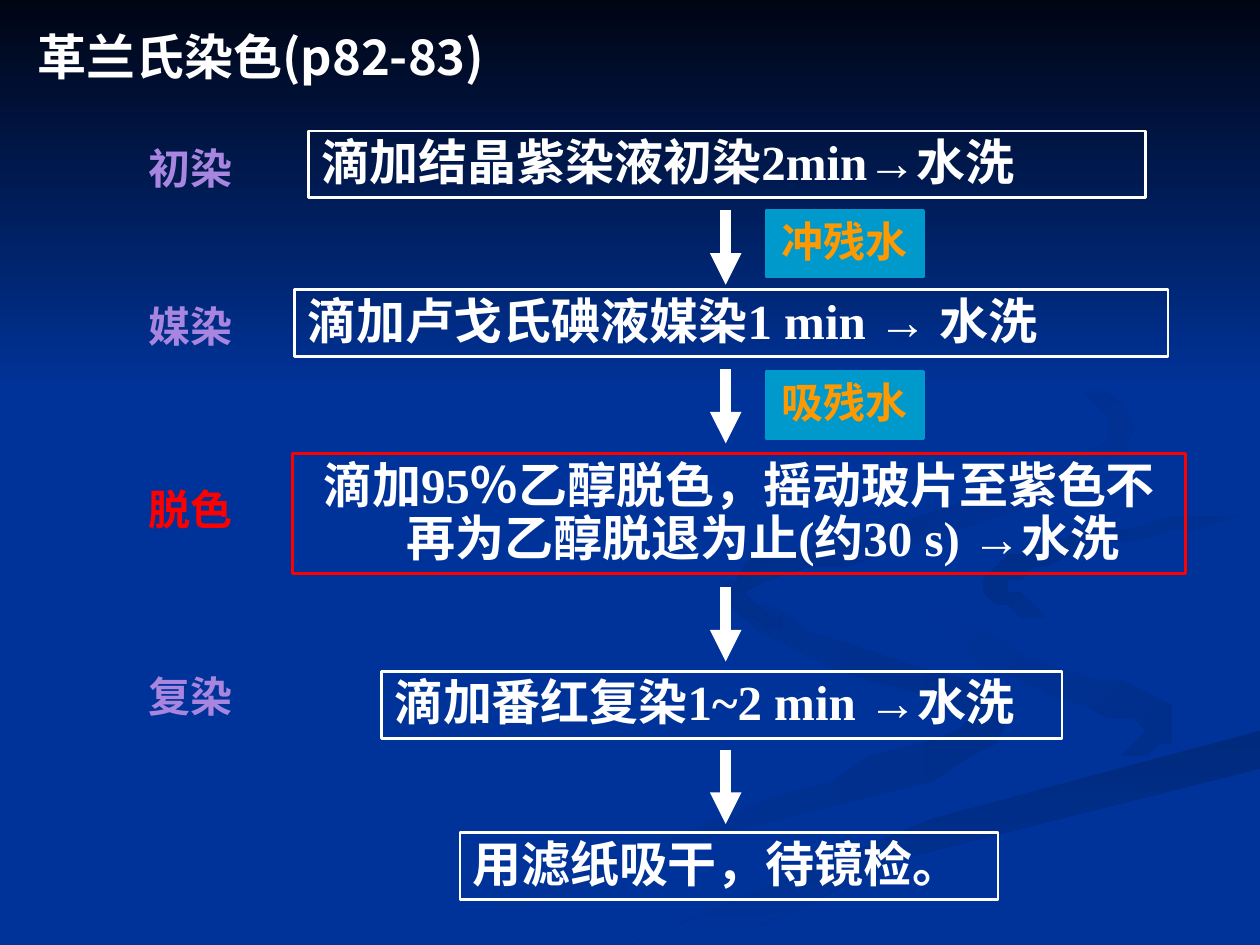
from math import hypot, pi, sin

from lxml.etree import SubElement
from pptx import Presentation
from pptx.dml.color import RGBColor
from pptx.enum.shapes import MSO_CONNECTOR as Connector, MSO_SHAPE as Shape
from pptx.enum.text import MSO_ANCHOR as Anchor, PP_ALIGN as Align
from pptx.oxml.ns import qn
from pptx.util import Inches, Pt

COLUMNS, ROWS = 100, 75
UNIT = Inches(10) // COLUMNS
SANS, SERIF = "Noto Sans CJK SC", "Times New Roman"
BLUE, WHITE, RED = "003399", "FFFFFF", "FF0000"
LILAC, TEAL, ORANGE = "A886E0", "0099CC", "FF9900"
HANG = Inches(0.38)
CURVE_STEPS = 6

RIBBONS = [
    ((BLUE, "002E8B", 0), 3, [(57, 46), (64, 51), (79, 57), (62, 64), (33, 74)]),
    ((BLUE, "002E8B", 45), 2.5, [(72, 46), (79, 52), (92, 57), (89, 60)]),
    (("002D86", BLUE, 45), 2, [(83, 49), (79, 46), (86, 43), (99, 41)]),
    (("002B82", BLUE, 45), 2, [(76, 23), (89, 34), (76, 41), (59, 46), (62, 50)]),
]
BAND = [(50, 75), (74, 65), (100, 58), (100, 61), (72, 68), (57, 75)]
SKY = [(0, 0), (0, 31), (100, 31), (100, 0)]

LABELS = [("初染", 11.3, LILAC), ("媒染", 23.8, LILAC),
          ("脱色", 38.3, RED), ("复染", 53.2, LILAC)]
LABEL_LEFT, LABEL_WIDTH, LABEL_HEIGHT = 10.8, 12, 4.6

LINE_HEIGHT = 5.3
STEPS = [
    ("滴加结晶紫染液初染2min→水洗", 24.5, 10.4, 66.4, 1),
    ("滴加卢戈氏碘液媒染1 min → 水洗", 23.4, 23, 69.3, 1),
    ("滴加95％乙醇脱色，摇动玻片至紫色不再为乙醇脱退为止(约30 s) →水洗",
     23.2, 36, 70.9, 1.8),
    ("滴加番红复染1~2 min →水洗", 30.3, 53.3, 54, 1),
    ("用滤纸吸干，待镜检。", 36.5, 66.1, 42.7, 1),
]
BADGES = [("冲残水", 16.7), ("吸残水", 29.5)]
BADGE_LEFT, BADGE_WIDTH = 60.8, 12.5
ARROW_LEFT, ARROW_LENGTH = 57.6, 5.9
ARROW_TOPS = [16.7, 29.3, 46.6, 59.5]


def color(code):
    return RGBColor.from_string(code)


def grid(*values):
    return [round(value * UNIT) for value in values]


def write(shape, text, size, font, ink, align=Align.LEFT, hang=0):
    frame = shape.text_frame
    frame.word_wrap = True
    frame.vertical_anchor = Anchor.MIDDLE
    frame.text = text
    para = frame.paragraphs[0]
    para.alignment = align
    para.line_spacing = 0.9
    if hang:
        props = para._p.get_or_add_pPr()
        props.set("marL", str(hang))
        props.set("indent", str(-hang))
    span = para.runs[0].font
    span.name, span.size, span.bold = font, Pt(size), True
    span.color.rgb = color(ink)


def add_label(page, text, box, size, ink):
    label = page.shapes.add_textbox(*grid(*box))
    write(label, text, size, SANS, ink, hang=HANG)


def add_panel(page, box, edge, fill=None):
    panel = page.shapes.add_shape(Shape.RECTANGLE, *grid(*box))
    panel.shadow.inherit = False
    panel.line.color.rgb = color(edge)
    panel.line.width = Pt(1.5)
    if fill:
        panel.fill.solid()
        panel.fill.fore_color.rgb = color(fill)
    else:
        panel.fill.background()
    return panel


def add_arrow(page, left, top, length):
    ends = grid(left, top, left, top + length)
    arrow = page.shapes.add_connector(Connector.STRAIGHT, *ends)
    arrow.line.color.rgb = color(WHITE)
    arrow.line.width = Pt(6)
    SubElement(arrow.line._get_or_add_ln(), qn("a:tailEnd"), type="triangle")
    SubElement(arrow._element.spPr, qn("a:effectLst"))


def blend(a, b, c, d, t):
    return b + t * (c - a + t * (2 * a - 5 * b + 4 * c - d + t * (3 * (b - c) + d - a))) / 2


def smooth(knots):
    padded = [knots[0], *knots, knots[-1]]
    curve = []
    for group in zip(padded, padded[1:], padded[2:], padded[3:]):
        for step in range(CURVE_STEPS):
            curve.append([blend(*axis, step / CURVE_STEPS) for axis in zip(*group)])
    return curve + [knots[-1]]


def ribbon_outline(knots, width):
    curve = smooth(knots)
    last = len(curve) - 1
    near, far = [], []
    for index, (x, y) in enumerate(curve):
        before, after = curve[max(index - 1, 0)], curve[min(index + 1, last)]
        run, rise = after[0] - before[0], after[1] - before[1]
        reach = width / 2 * sin(pi * index / last) / hypot(run, rise)
        near.append((x - rise * reach, y + run * reach))
        far.append((x + rise * reach, y - run * reach))
    return near + far[::-1]


def add_outline(page, shades, points):
    start, end, angle = shades
    builder = page.shapes.build_freeform(*points[0], scale=UNIT)
    builder.add_line_segments(points[1:], close=True)
    outline = builder.convert_to_shape()
    outline.shadow.inherit = False
    outline.line.fill.background()
    outline.fill.gradient()
    outline.fill.gradient_angle = -angle % 360
    for stop, shade in zip(outline.fill.gradient_stops, (start, end)):
        stop.color.rgb = color(shade)


def add_backdrop(page):
    page.background.fill.solid()
    page.background.fill.fore_color.rgb = color(BLUE)
    for shades, width, knots in RIBBONS:
        add_outline(page, shades, ribbon_outline(knots, width))
    add_outline(page, ("002A7D", BLUE, 90), BAND)
    add_outline(page, ("000514", BLUE, 90), SKY)


def add_flow(page):
    for text, left, top, width, lines in STEPS:
        edge, align = (RED, Align.CENTER) if lines > 1 else (WHITE, Align.LEFT)
        panel = add_panel(page, (left, top, width, lines * LINE_HEIGHT), edge)
        write(panel, text, 28, SERIF, WHITE, align, HANG)
    for top in ARROW_TOPS:
        add_arrow(page, ARROW_LEFT, top, ARROW_LENGTH)
    for text, top, ink in LABELS:
        add_label(page, text, (LABEL_LEFT, top, LABEL_WIDTH, LABEL_HEIGHT), 24, ink)
    for text, top in BADGES:
        badge = add_panel(page, (BADGE_LEFT, top, BADGE_WIDTH, LINE_HEIGHT), TEAL, TEAL)
        write(badge, text, 24, SERIF, ORANGE, Align.CENTER)


def main():
    deck = Presentation()
    deck.slide_width, deck.slide_height = grid(COLUMNS, ROWS)
    page = deck.slides.add_slide(deck.slide_layouts[6])
    add_backdrop(page)
    add_label(page, "革兰氏染色(p82-83)", (2, 2.1, 41, 5.2), 28, WHITE)
    add_flow(page)
    deck.save("out.pptx")


if __name__ == "__main__":
    main()
